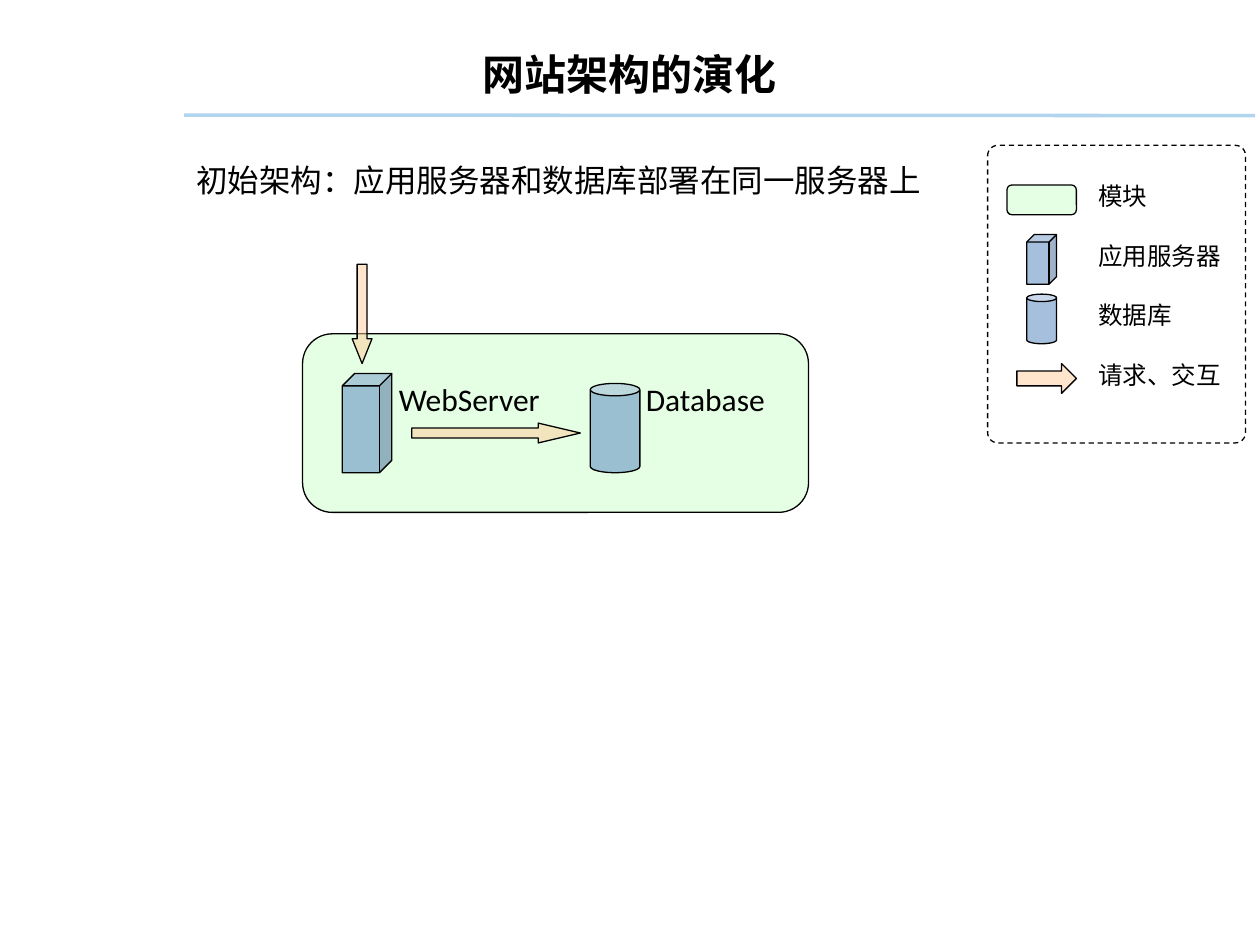
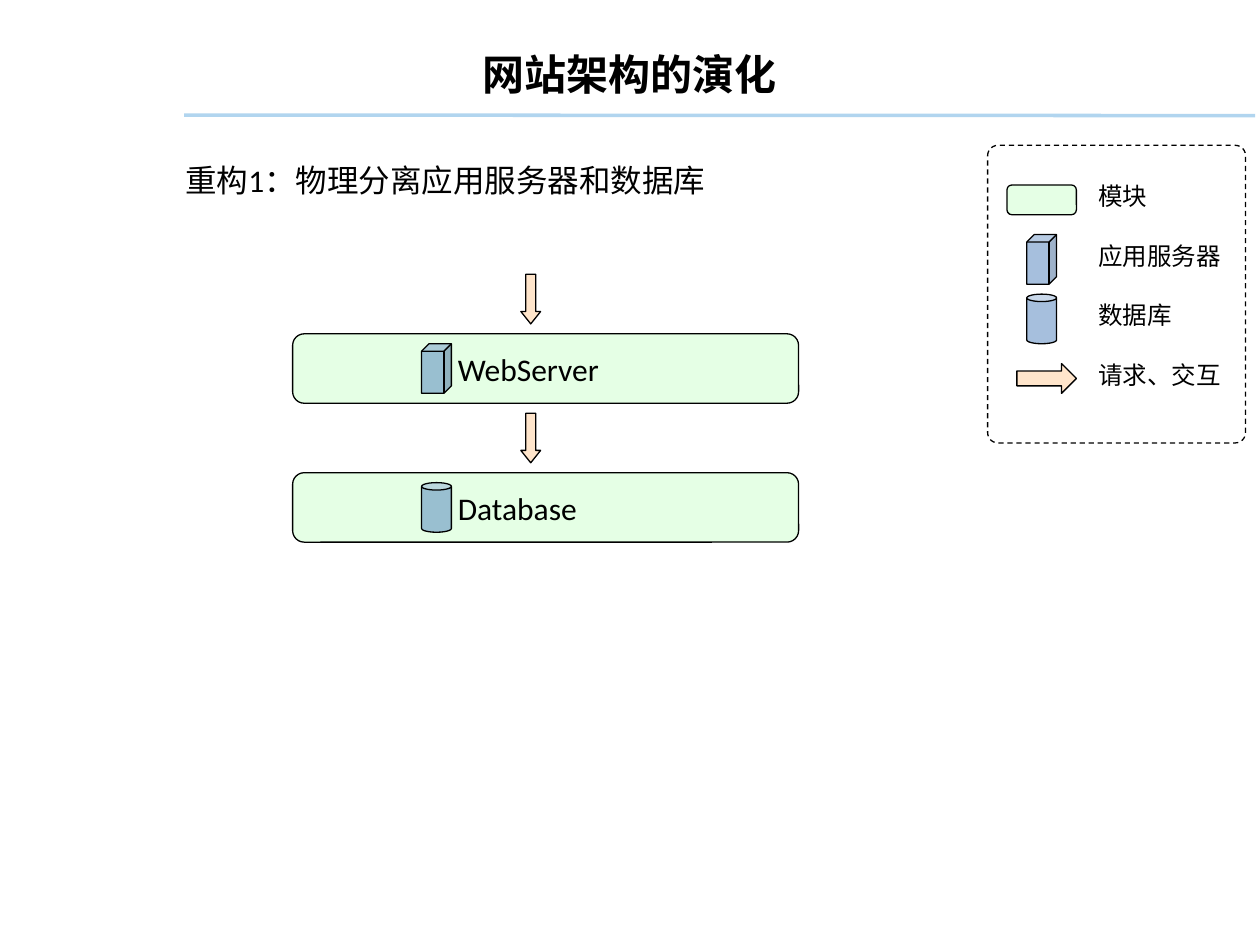
from dataclasses import dataclass

from lxml.etree import SubElement
from pptx import Presentation
from pptx.dml.color import RGBColor
from pptx.enum.dml import MSO_LINE
from pptx.enum.shapes import MSO_CONNECTOR, MSO_SHAPE
from pptx.enum.text import MSO_ANCHOR, MSO_AUTO_SIZE, PP_ALIGN
from pptx.oxml.ns import qn
from pptx.util import Cm, Pt


@dataclass(frozen=True)
class Theme:
    """Colours, fonts and type sizes of the deck."""
    ink: str = "000000"
    rule: str = "B1D5EF"
    module: str = "CCFFCC"
    server: str = "4F81BD"
    flow: str = "FFCC99"
    font: str = "Calibri"
    alt: str = "Arial"
    title: int = 24
    text: int = 18
    small: int = 14
    line: float = 0.75


THEME = Theme()
TITLE = "网站架构的演化"

KINDS = {
    "module": (MSO_SHAPE.ROUNDED_RECTANGLE, THEME.module),
    "server": (MSO_SHAPE.CUBE, THEME.server),
    "store": (MSO_SHAPE.CAN, THEME.server),
    "down": (MSO_SHAPE.DOWN_ARROW, THEME.flow),
    "right": (MSO_SHAPE.RIGHT_ARROW, THEME.flow),
}

# kind, icon centre, icon width, icon height, label, label width, font
LEGEND = [
    ("module", 21.0, 1.4, 0.6, "模块", 1.55, THEME.font),
    ("server", 21.0, 0.6, 1.0, "应用服务器", 3.05, THEME.font),
    ("store", 21.0, 0.6, 1.0, "数据库", 2.05, THEME.font),
    ("right", 21.1, 1.2, 0.6, "请求、交互", 3.05, THEME.alt),
]
FRAME = (19.91, 2.93, 5.2, 6.0)
ROW, STEP = 4.03, 1.2

SINGLE = {
    "head": ("初始架构：应用服务器和数据库部署在同一服务器上", 3.71, 15.2),
    "parts": [
        ("module", 6.1, 6.73, 10.2, 3.6),
        ("server", 6.9, 7.53, 1.0, 2.0),
        ("store", 11.9, 7.73, 1.0, 1.8),
        ("down", 7.1, 5.33, 0.4, 2.0),
        ("right", 8.3, 8.53, 3.4, 0.4),
    ],
    "labels": [("WebServer", 7.79, 7.53, 3.71), ("Database", 12.77, 7.53, 3.3)],
}


def stack(head, tiers, top=6.73, step=2.8):
    """Describe a diagram of tiers, one under another, each fed from above."""
    parts, labels = [], []
    for i, (kind, name, width) in enumerate(tiers):
        y = top + i * step
        parts += [
            ("module", 5.9, y, 10.2, 1.4),
            (kind, 8.5, y + 0.2, 0.6, 1.0),
            ("down", 10.5, y - 1.2, 0.4, 1.0),
        ]
        labels.append((name, 8.98, y + 0.2, width))
    return {"head": head, "parts": parts, "labels": labels}


SPLIT = stack(
    ("重构1：物理分离应用服务器和数据库", 3.49, 11.4),
    [("server", "WebServer", 3.71), ("store", "Database", 3.3)],
)


def style(para, size, font=THEME.font, bold=False):
    """Set the font of a paragraph."""
    para.font.name = font
    para.font.size = Pt(size)
    para.font.bold = bold
    para.font.color.rgb = RGBColor.from_string(THEME.ink)


def write(slide, text, x, y, width, size=THEME.text, font=THEME.font):
    """Add one line of text."""
    high = 1.02 if size == THEME.text else 0.86
    box = slide.shapes.add_textbox(Cm(x), Cm(y), Cm(width), Cm(high))
    frame = box.text_frame
    frame.word_wrap = False
    frame.auto_size = MSO_AUTO_SIZE.SHAPE_TO_FIT_TEXT
    frame.text = text
    style(frame.paragraphs[0], size, font)


def outline(slide, form, x, y, width, height):
    """Add a preset shape with a thin dark line and no shadow."""
    shape = slide.shapes.add_shape(form, Cm(x), Cm(y), Cm(width), Cm(height))
    shape.shadow.inherit = False
    shape.line.color.rgb = RGBColor.from_string(THEME.ink)
    shape.line.width = Pt(THEME.line)
    return shape


def draw(slide, kind, x, y, width, height):
    """Add a half clear part; an arrow head takes a quarter of its length."""
    form, tint = KINDS[kind]
    shape = outline(slide, form, x, y, width, height)
    shape.fill.solid()
    shape.fill.fore_color.rgb = RGBColor.from_string(tint)
    color = shape.fill._xPr.find(qn("a:solidFill"))[0]
    SubElement(color, qn("a:alpha"), val="50000")
    if kind in ("down", "right"):
        short, long = sorted((width, height))
        shape.adjustments[1] = long / 4 / short


def legend(slide):
    """Add the framed key of symbols."""
    frame = outline(slide, MSO_SHAPE.ROUNDED_RECTANGLE, *FRAME)
    frame.adjustments[0] = 0.04
    frame.fill.background()
    frame.line.dash_style = MSO_LINE.DASH
    for i, (kind, mid, width, height, text, span, font) in enumerate(LEGEND):
        y = ROW + i * STEP
        draw(slide, kind, mid - width / 2, y - height / 2, width, height)
        write(slide, text, 21.89, y - 0.5, span, THEME.small, font)


def header(slide):
    """Fill the title and rule it off."""
    rule = slide.shapes.add_connector(
        MSO_CONNECTOR.STRAIGHT, Cm(3.71), Cm(2.32), Cm(25.3), Cm(2.33))
    rule.line.color.rgb = RGBColor.from_string(THEME.rule)
    rule.line.width = Pt(2)
    SubElement(rule._element.spPr, qn("a:effectLst"))
    title = slide.shapes.title
    title.left, title.top, title.width, title.height = map(
        Cm, (1.27, 0.64, 22.86, 1.68))
    frame = title.text_frame
    frame.text = TITLE
    frame.vertical_anchor = MSO_ANCHOR.MIDDLE
    frame.paragraphs[0].alignment = PP_ALIGN.CENTER
    style(frame.paragraphs[0], THEME.title, bold=True)


def main():
    """Build and save the deck."""
    deck = Presentation()
    deck.slide_width, deck.slide_height = Cm(25.4), Cm(19.05)
    for plan in (SINGLE, SPLIT):
        slide = deck.slides.add_slide(deck.slide_layouts[5])
        header(slide)
        for part in plan["parts"]:
            draw(slide, *part)
        for label in plan["labels"]:
            write(slide, *label)
        legend(slide)
        text, x, width = plan["head"]
        write(slide, text, x, 3.13, width)
    deck.save("out.pptx")


if __name__ == "__main__":
    main()
